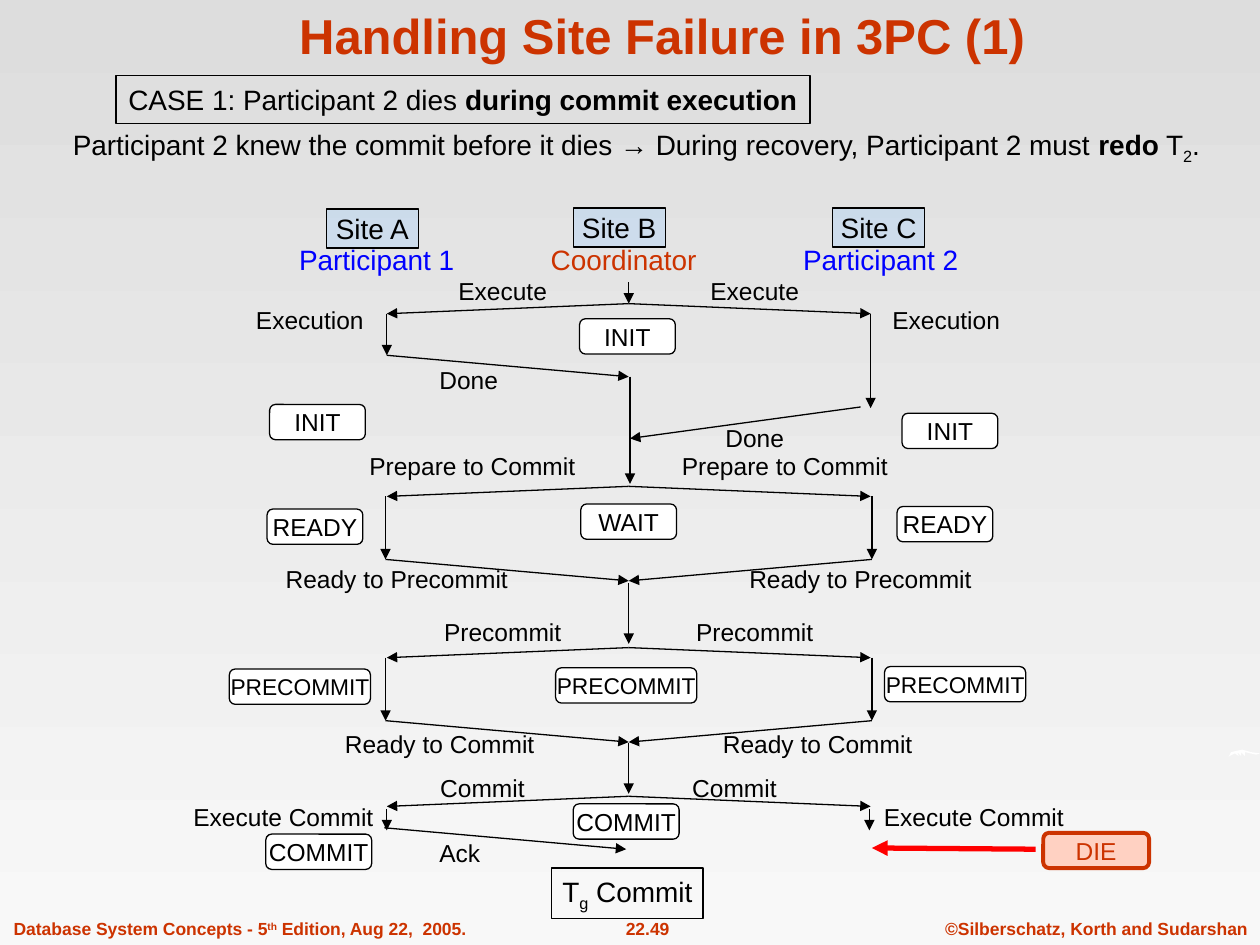
from lxml.etree import SubElement
from pptx import Presentation
from pptx.dml.color import RGBColor
from pptx.enum.shapes import MSO_CONNECTOR as Line, MSO_SHAPE as Shape
from pptx.enum.text import MSO_ANCHOR as Anchor, PP_ALIGN as Align
from pptx.oxml.ns import qn
from pptx.util import Inches, Pt

BLACK = RGBColor(0x00, 0x00, 0x00)
WHITE = RGBColor(0xFF, 0xFF, 0xFF)
RUST = RGBColor(0xCC, 0x33, 0x00)
PINK = RGBColor(0xFF, 0xD1, 0xC2)
BLUE = RGBColor(0x00, 0x00, 0xFF)
SKY = RGBColor(0x99, 0xCC, 0xFF)
RED = RGBColor(0xFF, 0x00, 0x00)
TOP = RGBColor(0xDD, 0xDD, 0xDD)
BASE = RGBColor(0xF8, 0xF8, 0xF8)

# Content: a run is (text, style), style being "", "b", "sub" or "sup"
TITLE = "Handling Site Failure in 3PC (1)"
CASE = [("CASE 1: Participant 2 dies ", ""), ("during commit execution", "b")]
NOTE = [("Participant 2 knew the commit before it dies → During recovery, "
         "Participant 2 must ", ""),
        ("redo", "b"), (" T", ""), ("2", "sub"), (".", "")]
RESULT = [("T", ""), ("g", "sub"), (" Commit", "")]
FOOT = [
    ([("Database System Concepts - 5", ""), ("th", "sup"),
      (" Edition, Aug 22,  2005.", "")], 0.01, 3.79, Align.LEFT),
    ([("22.49", "")], 4.61, 1.06, Align.CENTER),
    ([("©Silberschatz, Korth and Sudarshan", "")], 7.4, 2.6, Align.RIGHT),
]
SITES = [("Site A", 2.59, 1.66), ("Site B", 4.55, 1.65), ("Site C", 6.61, 1.65)]
ROLES = [("Participant 1", 2.99, BLUE), ("Coordinator", 4.95, RUST),
         ("Participant 2", 6.99, BLUE)]

# Message: text, then the centre (x, y) of each place it stands
LABELS = [
    ("Execute", (3.99, 2.31), (5.99, 2.31)),
    ("Execution", (2.46, 2.54), (7.51, 2.54)),
    ("Done", (3.72, 3.01), (5.99, 3.47)),
    ("Prepare to Commit", (3.75, 3.7), (6.23, 3.7)),
    ("Ready to Precommit", (3.15, 4.59), (6.83, 4.59)),
    ("Precommit", (3.99, 5.01), (5.99, 5.01)),
    ("Ready to Commit", (3.49, 5.9), (6.49, 5.9)),
    ("Commit", (3.83, 6.25), (5.83, 6.25)),
    ("Execute Commit", (2.25, 6.48), (7.73, 6.48)),
    ("Ack", (3.65, 6.77)),
]

# State: text, width, size, then the corner (x, y) of each box
STATES = [
    ("INIT", 0.76, 14, (4.6, 2.53), (2.14, 3.21), (7.16, 3.28)),
    ("WAIT", 0.76, 14, (4.61, 4)),
    ("READY", 0.76, 14, (2.12, 4.04), (7.12, 4.02)),
    ("PRECOMMIT", 1.12, 13, (4.41, 5.3), (1.82, 5.31), (7.02, 5.29)),
    ("COMMIT", 0.84, 14, (2.11, 6.62), (4.55, 6.38)),
]

# Time lines of the three sites, and the single steps between them
LEFT, MID, RIGHT = 3.07, 4.99, 6.91
FANS = [2.41, 3.86, 5.14, 6.32]
REPLIES = [3.94, 5.22]
STEPS = [
    (MID, 2.24, MID, 2.41), (LEFT, 2.49, LEFT, 2.82),
    (LEFT, 2.82, MID, 2.99), (RIGHT, 2.49, RIGHT, 3.24),
    (6.83, 3.23, 5, 3.48), (5, 2.99, 5, 3.84),
    (MID, 4.63, MID, 5.11), (MID, 5.9, MID, 6.3),
    (LEFT, 6.42, LEFT, 6.59), (6.9, 6.42, 6.9, 6.59),
    (3.05, 6.57, 4.97, 6.74),
]
SWISH = [(9.75, 6.01), (9.77, 5.97), (9.81, 5.96), (9.86, 5.95), (9.93, 5.97),
         (10, 5.98), (9.97, 5.99), (9.88, 5.97), (9.88, 6), (9.85, 5.97),
         (9.85, 6), (9.82, 5.97), (9.83, 6), (9.8, 5.98), (9.76, 6)]

prs = Presentation()
prs.slide_width, prs.slide_height = Inches(10), Inches(7.5)
slide = prs.slides.add_slide(prs.slide_layouts[5])
shapes = slide.shapes


def place(shape, x, y, w, h):
    shape.left, shape.top = Inches(x), Inches(y)
    shape.width, shape.height = Inches(w), Inches(h)


def write(shape, runs, size, color=BLACK, align=Align.CENTER, bold=False):
    frame = shape.text_frame
    frame.word_wrap = False
    frame.vertical_anchor = Anchor.MIDDLE
    para = frame.paragraphs[0]
    para.alignment = align
    font = para.font
    font.name, font.size, font.bold = "Arial", Pt(size), bold
    font.color.rgb = color
    for text, style in runs:
        run = para.add_run()
        run.text = text
        if style == "b":
            run.font.bold = True
        elif style:
            shift = "-25000" if style == "sub" else "30000"
            run.font._element.set("baseline", shift)


def label(runs, x, y, w, h, *look):
    write(shapes.add_textbox(*map(Inches, (x, y, w, h))), runs, *look)


def box(kind, runs, x, y, w, h, size, fill=None, edge=BLACK, width=0.75):
    shape = shapes.add_shape(kind, *map(Inches, (x, y, w, h)))
    shape.shadow.inherit = False
    if fill is None:
        shape.fill.background()
    else:
        shape.fill.solid()
        shape.fill.fore_color.rgb = fill
    shape.line.color.rgb, shape.line.width = edge, Pt(width)
    write(shape, runs, size, edge)
    return shape


def arrow(x1, y1, x2, y2, color=BLACK, width=0.75):
    line = shapes.add_connector(Line.STRAIGHT, *map(Inches, (x1, y1, x2, y2)))
    line.line.color.rgb, line.line.width = color, Pt(width)
    SubElement(line.line._get_or_add_ln(), qn("a:tailEnd"), type="triangle")
    SubElement(line._element.spPr, qn("a:effectLst"))


# Background, footer and corner ornament
back = slide.background.fill
back.gradient()
back.gradient_angle = 270
for stop, color in zip(back.gradient_stops, (TOP, BASE)):
    stop.color.rgb = color
for runs, x, w, align in FOOT:
    label(runs, x, 7.24, w, 0.26, 10, RUST, align, True)
curve = [(Inches(x), Inches(y)) for x, y in SWISH]
pen = shapes.build_freeform(*curve[0])
pen.add_line_segments(curve[1:])
swish = pen.convert_to_shape()
swish.shadow.inherit = False
swish.fill.solid()
swish.fill.fore_color.rgb = WHITE
swish.line.fill.background()

# Title
title = shapes.title
place(title, 0.84, 0, 8.83, 0.56)
write(title, [(TITLE, "")], 28, RUST, bold=True)
title.text_frame.vertical_anchor = Anchor.BOTTOM

# Messages and roles
for text, x, color in ROLES:
    label([(text, "")], x - 0.8, 1.89, 1.6, 0.34, 16, color)
for text, *spots in LABELS:
    for x, y in spots:
        label([(text, "")], x - 1, y - 0.15, 2, 0.3, 14)

# Arrows: fans out from the coordinator, replies back, single steps
for y in FANS:
    for side in (LEFT, RIGHT):
        arrow(MID, y, side, y + 0.08)
for y in REPLIES:
    for side in (LEFT - 0.01, RIGHT + 0.01):
        arrow(side, y, side, y + 0.5)
        arrow(side, y + 0.5, MID, y + 0.67)
for step in STEPS:
    arrow(*step)

# Sites and states
for text, x, y in SITES:
    site = box(Shape.RECTANGLE, [(text, "")], x, y, 0.73, 0.31, 16, SKY)
    tint = site._element.spPr.find(qn("a:solidFill"))[0]
    SubElement(tint, qn("a:alpha"), val="30000")
for text, w, size, *spots in STATES:
    for x, y in spots:
        box(Shape.ROUNDED_RECTANGLE, [(text, "")], x, y, w, 0.28, size, WHITE)
box(Shape.RECTANGLE, RESULT, 4.38, 6.89, 1.2, 0.4, 16)

# Failure of participant 2
box(Shape.ROUNDED_RECTANGLE, [("DIE", "")], 8.28, 6.61, 0.84, 0.28, 14,
    PINK, RUST, 2.25)
arrow(8.22, 6.74, 6.92, 6.73, RED, 3)

# Case and what it means
case = box(Shape.RECTANGLE, CASE, 0.92, 0.6, 5.51, 0.38, 16)
case.text_frame.paragraphs[0].alignment = Align.LEFT
label(NOTE, 0.48, 0.99, 9.2, 0.34, 16, BLACK, Align.LEFT)

prs.save("out.pptx")
